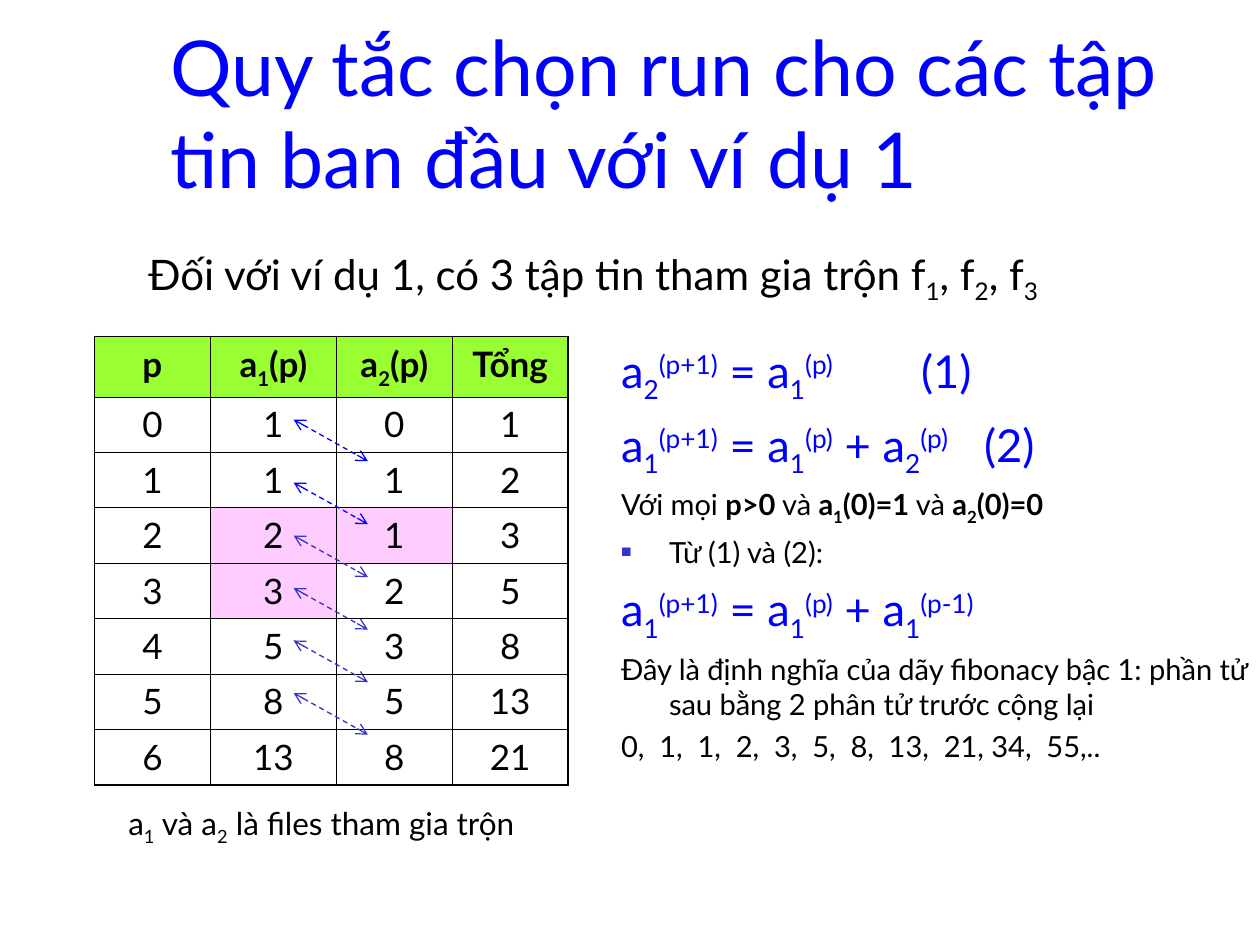
"""Build the slide on choosing initial runs for a three-file merge."""
from lxml.etree import SubElement
from pptx import Presentation
from pptx.dml.color import RGBColor as RGB
from pptx.enum.dml import MSO_LINE as DASH
from pptx.enum.shapes import MSO_CONNECTOR as CONN
from pptx.enum.text import MSO_ANCHOR as ANCHOR, MSO_AUTO_SIZE as AUTO, PP_ALIGN as ALIGN
from pptx.oxml.ns import qn
from pptx.util import Inches, Pt

COLORS = {"blue": "0000FF", "indigo": "3333CC", "black": "000000",
          "green": "99FF33", "pink": "FFCCFF"}


def rgb(name):
    return RGB.from_string(COLORS[name])


def add_xml(parent, tag, **attrs):
    return SubElement(parent, qn(tag), {k: str(v) for k, v in attrs.items()})


def write(p, text, size=18, color="black", bold=False, align=ALIGN.LEFT, before=0, font="Lato"):
    """Write runs split by '|', where a leading * is bold, _ subscript and ^ superscript."""
    p.alignment = align
    p.space_before = Pt(before)
    for part in text.split("|"):
        strong = part.startswith("*")
        part = part.removeprefix("*")
        shift = {"_": -25000, "^": 30000}.get(part[0])
        r = p.add_run()
        r.text = part[1:] if shift else part
        r.font.name, r.font.size = font, Pt(size)
        r.font.bold = bold or strong
        r.font.color.rgb = rgb(color)
        if shift:
            r.font._element.set("baseline", str(shift))


class Deck:
    """Hold the style and the current slide."""

    def __init__(self, prs):
        self.slide = prs.slides.add_slide(prs.slide_layouts[1])
        self.shapes = self.slide.shapes

    def place(self, sp, box):
        sp.left, sp.top, sp.width, sp.height = map(Inches, box)
        tf = sp.text_frame
        tf.auto_size, tf.word_wrap = AUTO.NONE, True
        return tf

    def title(self, text, box):
        tf = self.place(self.shapes.title, box)
        tf.vertical_anchor = ANCHOR.BOTTOM
        write(tf.paragraphs[0], text, size=44, color="blue")

    def body(self, items, box):
        tf = self.place(self.slide.placeholders[1], box)
        for i, (kind, text) in enumerate(items):
            p = tf.add_paragraph() if i else tf.paragraphs[0]
            pPr = p._p.get_or_add_pPr()
            pPr.set("marL", str(Inches(0.38)))
            pPr.set("indent", str(Inches(-0.38)))
            if kind == "bullet":
                add_xml(add_xml(pPr, "a:buClr"), "a:srgbClr", val=COLORS["indigo"])
                add_xml(pPr, "a:buSzPct", val=60000)
                add_xml(pPr, "a:buChar", char="■")
            else:
                add_xml(pPr, "a:buNone")
            tabs = add_xml(pPr, "a:tabLst")
            for stop in range(1, 8):
                add_xml(tabs, "a:tab", pos=Inches(stop), algn="l")
            formula = kind == "formula"
            write(p, text, size=25.9 if formula else 16.6,
                  color="blue" if formula else "black",
                  before=0 if i == 0 else 7 if formula else 4.5)

    def text(self, text, box, size):
        sp = self.shapes.add_textbox(*map(Inches, box))
        write(self.place(sp, box).paragraphs[0], text, size=size)

    def borders(self, cell, widths):
        tcPr = cell._tc.get_or_add_tcPr()
        for side, width in zip("LRTB", widths):
            ln = add_xml(tcPr, f"a:ln{side}", w=Pt(width))
            add_xml(add_xml(ln, "a:solidFill"), "a:srgbClr", val=COLORS["black"])

    def table(self, rows, box, col_widths, row_heights, pink):
        last_row, last_col = len(rows) - 1, len(col_widths) - 1
        table = self.shapes.add_table(len(rows), len(col_widths), *map(Inches, box)).table
        table.first_row = table.horz_banding = False
        for col, width in zip(table.columns, col_widths):
            col.width = Inches(width)
        for i, row in enumerate(rows):
            table.rows[i].height = Inches(row_heights[i])
            for j, text in enumerate(row):
                cell = table.cell(i, j)
                outer = (j == 0, j == last_col, i == 0, i == last_row)
                self.borders(cell, [1.08 if edge else 0.45 for edge in outer])
                fill = "green" if i == 0 else "pink" if (i, j) in pink else None
                if fill:
                    cell.fill.solid()
                    cell.fill.fore_color.rgb = rgb(fill)
                else:
                    cell.fill.background()
                write(cell.text_frame.paragraphs[0], str(text), size=20,
                      bold=i == 0, align=ALIGN.CENTER)

    def arrow(self, x, y, dx, dy, color):
        c = self.shapes.add_connector(CONN.STRAIGHT, *map(Inches, (x, y, x + dx, y + dy)))
        c.line.color.rgb = rgb(color)
        c.line.width = Pt(0.75)
        c.line.dash_style = DASH.DASH
        ln = c.line._get_or_add_ln()
        add_xml(ln, "a:headEnd", type="arrow")
        add_xml(ln, "a:tailEnd", type="arrow")
        add_xml(c._element.spPr, "a:effectLst")


def main():
    prs = Presentation()
    prs.slide_width, prs.slide_height = Inches(10), Inches(7.5)
    deck = Deck(prs)
    deck.title("Quy tắc chọn run cho các tập tin ban đầu với ví dụ 1", (1.25, 0.42, 8.42, 1.25))
    deck.body([
        ("formula", "a|_2|^(p+1)| = a|_1|^(p)\t\t|(1)"),
        ("formula", "a|_1|^(p+1)| = a|_1|^(p)| + a|_2|^(p)\t|(2)"),
        ("note", "Với mọi |*p>0| và |*a|*_1|*(0)=1| và |*a|*_2|*(0)=0"),
        ("bullet", "Từ (1) và (2):"),
        ("formula", "a|_1|^(p+1)| = a|_1|^(p)| + a|_1|^(p-1)"),
        ("note", "Đây là định nghĩa của dãy fibonacy bậc 1: phần tử sau bằng "
                 "2 phân tử trước cộng lại"),
        ("note", "0,  1,  1,  2,  3,  5,  8,  13,  21, 34,  55,.."),
    ], (4.83, 2.67, 5.17, 3.92))

    rows = [("p", "a|_1|(p)", "a|_2|(p)", "Tổng")]
    a1, a2 = 1, 0
    for step in range(7):
        rows.append((step, a1, a2, a1 + a2))
        a1, a2 = a1 + a2, a1
    deck.table(rows, (0.75, 2.67, 3.75, 3.53), (0.92, 1, 0.92, 0.92),
               [0.48] + [0.44] * 7, {(3, 1), (3, 2), (4, 1)})

    for i, y in enumerate([3.33, 3.83] + [4.25 + 1.25 / 3 * k for k in range(4)]):
        deck.arrow(2.33, y, 0.59, 0.33, "blue" if i < 2 else "indigo")
    deck.text("a|_1| và a|_2| là files tham gia trộn", (0.92, 6.33, 3.67, 0.44), 18)
    deck.text("Đối với ví dụ 1, có 3 tập tin tham gia trộn f|_1|, f|_2|, f|_3",
              (1.08, 1.92, 7.92, 0.56), 24)
    prs.save("out.pptx")


if __name__ == "__main__":
    main()
